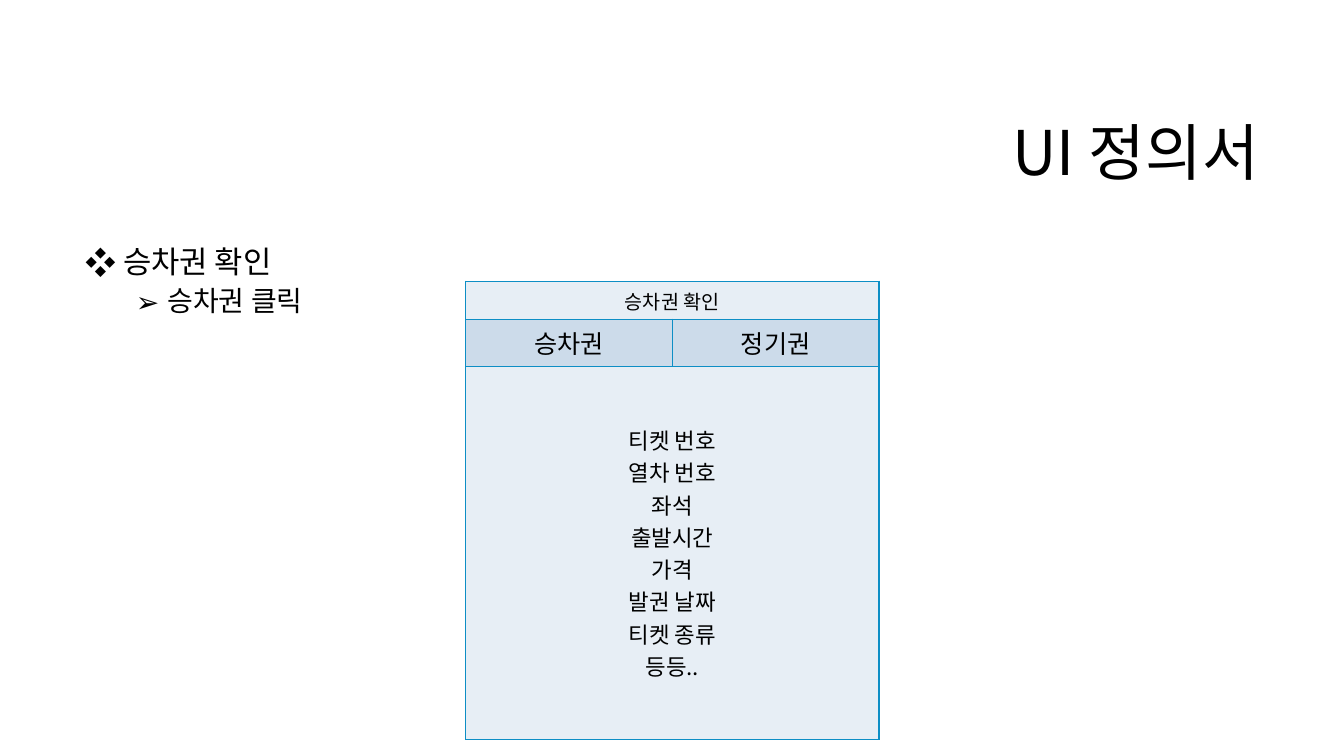
from lxml.etree import SubElement
from pptx import Presentation
from pptx.dml.color import RGBColor
from pptx.enum.text import MSO_ANCHOR, PP_ALIGN
from pptx.oxml.ns import qn
from pptx.util import Pt

FONT = "Noto Sans CJK KR"
COLORS = {"text": "000000", "line": "0D8EC5", "pale": "E7EEF5", "tab": "CCDBEA"}

TITLE = "UI 정의서"
# text, size, bullet, left indent, space before, level
POINTS = [
    (" 승차권 확인", 22, "❖", 18, 10, 0),
    (" 승차권 클릭", 20, "➢", 54, 5, 1),
]
# cell texts, size, fill, row height
ROWS = [
    (["승차권 확인"], 14, "pale", 27.1),
    (["승차권", "정기권"], 18, "tab", 33.6),
    (["티켓 번호\n열차 번호\n좌석\n출발시간\n가격\n발권 날짜\n티켓 종류\n등등.."],
     16, "pale", 266.4),
]
TITLE_BOX = (228.24, 60.48, 678.24, 101.52)
BODY_BOX = (54, 172.8, 851.76, 316.8)
TABLE_AT = (332.64, 200.88)
COL = 147.6
COLS = 2


def color(key):
    return RGBColor.from_string(COLORS[key])


def assign(item, values):
    for name, value in values.items():
        setattr(item, name, value)


def write(para, text, size, form):
    """Put one styled run into a paragraph."""
    assign(para, form)
    run = para.add_run()
    run.text = text
    assign(run.font, {"name": FONT, "size": Pt(size), "bold": False})
    run.font.color.rgb = color("text")
    SubElement(run.font._element, qn("a:ea"), typeface=FONT)


def add_bullet(para, mark, left):
    props = para._p.get_or_add_pPr()
    props.set("marL", str(Pt(left)))
    props.set("indent", str(-Pt(18)))
    SubElement(props, qn("a:buFont"), typeface=FONT)
    SubElement(props, qn("a:buChar"), char=mark)


def add_border(cell):
    props = cell._tc.get_or_add_tcPr()
    for spot, side in enumerate(("lnL", "lnR", "lnT", "lnB")):
        line = SubElement(props, qn("a:" + side), w=str(Pt(1)))
        fill = SubElement(line, qn("a:solidFill"))
        SubElement(fill, qn("a:srgbClr"), val=COLORS["line"])
        props.insert(spot, line)


def add_title(slide):
    title = slide.shapes.title
    assign(title, dict(zip(("left", "top", "width", "height"), map(Pt, TITLE_BOX))))
    frame = title.text_frame
    assign(frame, {"vertical_anchor": MSO_ANCHOR.MIDDLE, "word_wrap": True})
    write(frame.paragraphs[0], TITLE, 44,
          {"alignment": PP_ALIGN.RIGHT, "line_spacing": 0.9})


def add_points(slide):
    frame = slide.shapes.add_textbox(*map(Pt, BODY_BOX)).text_frame
    frame.word_wrap = True
    for i, (text, size, mark, left, gap, level) in enumerate(POINTS):
        para = frame.add_paragraph() if i else frame.paragraphs[0]
        write(para, text, size,
              {"line_spacing": 0.9, "space_before": Pt(gap), "level": level})
        add_bullet(para, mark, left)


def add_ticket(slide):
    high = sum(row[-1] for row in ROWS)
    table = slide.shapes.add_table(
        len(ROWS), COLS, *map(Pt, (*TABLE_AT, COL * COLS, high))).table
    assign(table, {"first_row": False, "horz_banding": False})
    for r, (texts, size, fill, height) in enumerate(ROWS):
        table.rows[r].height = Pt(height)
        for c in range(COLS):
            cell = table.cell(r, c)
            cell.fill.solid()
            cell.fill.fore_color.rgb = color(fill)
            cell.vertical_anchor = MSO_ANCHOR.MIDDLE
            add_border(cell)
        if len(texts) == 1:
            table.cell(r, 0).merge(table.cell(r, COLS - 1))
        for c, text in enumerate(texts):
            frame = table.cell(r, c).text_frame
            for i, line in enumerate(text.split("\n")):
                para = frame.add_paragraph() if i else frame.paragraphs[0]
                write(para, line, size, {"alignment": PP_ALIGN.CENTER})


def main():
    deck = Presentation()
    assign(deck, {"slide_width": Pt(960), "slide_height": Pt(540)})
    slide = deck.slides.add_slide(deck.slide_layouts[5])
    add_title(slide)
    add_points(slide)
    add_ticket(slide)
    deck.save("out.pptx")


if __name__ == "__main__":
    main()
